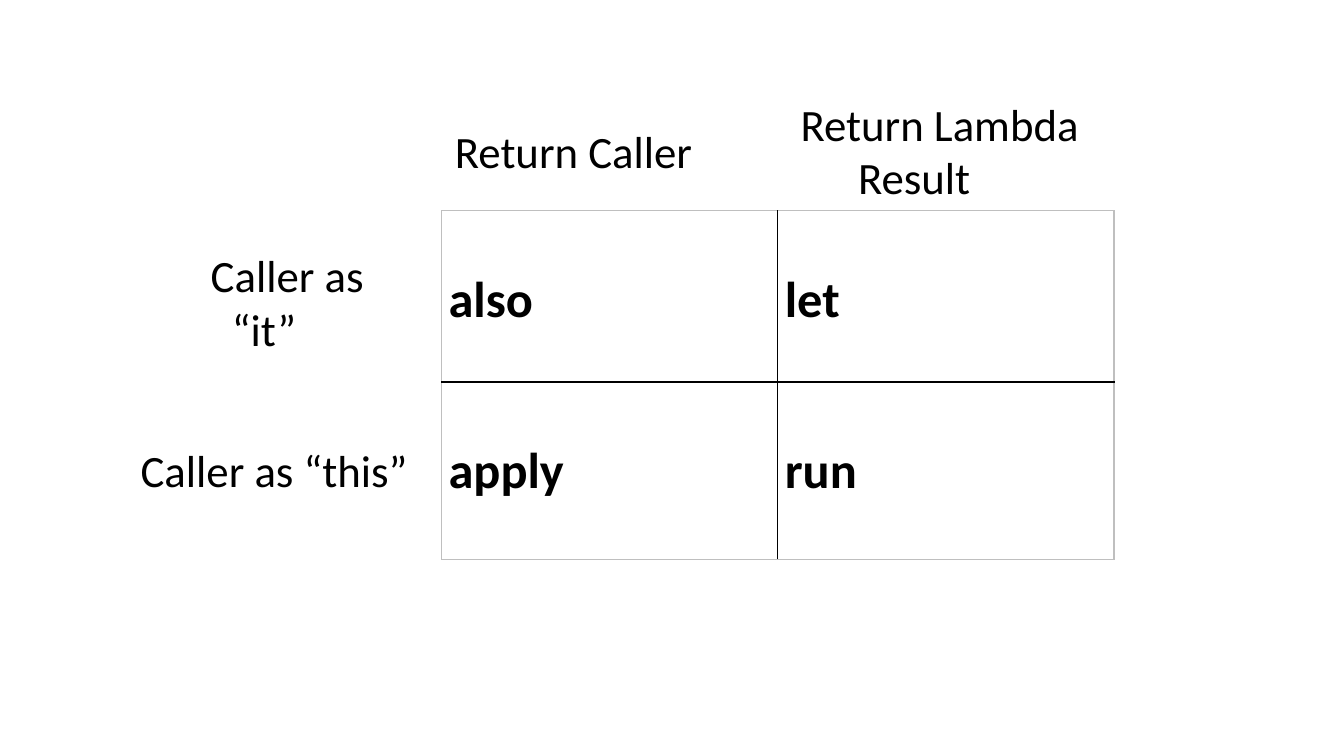
from dataclasses import dataclass

from lxml import etree
from pptx import Presentation
from pptx.dml.color import RGBColor
from pptx.enum.text import MSO_ANCHOR, PP_ALIGN
from pptx.oxml.ns import qn
from pptx.util import Inches, Pt

MIDDLE, TOP = MSO_ANCHOR.MIDDLE, MSO_ANCHOR.TOP
CENTER, LEFT = PP_ALIGN.CENTER, PP_ALIGN.LEFT


@dataclass(frozen=True)
class Theme:
    font: str = "Calibri"
    ink: str = "000000"
    frame: str = "BFBFBF"
    label_size: int = 32
    cell_size: int = 36
    line_width: int = 1


THEME = Theme()


def write_text(frame, text, size, bold=False, align=LEFT, hang=None):
    """hang gives the starts of the first line and of the wrapped lines."""
    para = frame.paragraphs[0]
    para.alignment = align
    if hang:
        first, rest = hang
        properties = para._p.get_or_add_pPr()
        properties.set("marL", str(Inches(rest)))
        properties.set("indent", str(Inches(first - rest)))
    span = para.add_run()
    span.text = text
    span.font.name = THEME.font
    span.font.size = Pt(size)
    span.font.bold = bold
    span.font.color.rgb = RGBColor.from_string(THEME.ink)


def add_label(page, box, text, align=CENTER, hang=None, right_inset=0.04):
    shape = page.shapes.add_textbox(*map(Inches, box))
    frame = shape.text_frame
    frame.word_wrap = True
    frame.vertical_anchor = MIDDLE
    frame.margin_left = frame.margin_top = frame.margin_bottom = Inches(0.04)
    frame.margin_right = Inches(right_inset)
    write_text(frame, text, THEME.label_size, align=align, hang=hang)


def set_border(cell, side, color):
    line = etree.SubElement(cell._tc.get_or_add_tcPr(), qn("a:ln" + side),
                            w=str(Pt(THEME.line_width)))
    fill = etree.SubElement(line, qn("a:solidFill"))
    etree.SubElement(fill, qn("a:srgbClr"), val=color)


def add_function_grid(page, box, names, row_heights):
    rows, columns = len(names), len(names[0])
    table = page.shapes.add_table(rows, columns, *map(Inches, box)).table
    table.first_row = table.horz_banding = False
    for column in table.columns:
        column.width = Inches(box[2] / columns)
    for row, height in zip(table.rows, row_heights):
        row.height = Inches(height)

    for i, row_names in enumerate(names):
        for j, name in enumerate(row_names):
            cell = table.cell(i, j)
            cell.vertical_anchor = TOP
            cell.margin_left = cell.margin_right = Inches(0.07)
            cell.margin_top, cell.margin_bottom = Inches(0.58), Inches(0.04)
            # Outer edges are pale, inner edges dark
            outer = {"L": j == 0, "R": j == columns - 1,
                     "T": i == 0, "B": i == rows - 1}
            for side, is_outer in outer.items():
                set_border(cell, side, THEME.frame if is_outer else THEME.ink)
            cell.fill.background()
            write_text(cell.text_frame, name, THEME.cell_size, bold=True)


def add_scope_functions(page, box):
    left, top = box[:2]
    # Grid of function names
    add_function_grid(page, box, [["also", "let"], ["apply", "run"]],
                      row_heights=[1.7, 1.76])
    # Column headings
    add_label(page, (left, top - 0.91, 3.12, 0.62), "Return Caller",
              right_inset=0.54)
    add_label(page, (left + 3.4, top - 1.18, 3.12, 1.16),
              "Return Lambda Result", align=LEFT, hang=(0.12, 0.69))
    # Row headings
    add_label(page, (left - 2.64, top + 0.32, 2.26, 1.16),
              "Caller as “it”", align=LEFT, hang=(0.31, 0.52))
    add_label(page, (left - 3.22, top + 2.26, 3.12, 0.62),
              "Caller as “this”")


deck = Presentation()
deck.slide_width, deck.slide_height = Inches(13.33), Inches(7.5)
page = deck.slides.add_slide(deck.slide_layouts[6])
add_scope_functions(page, (4.38, 2.09, 6.67, 3.46))
deck.save("out.pptx")
